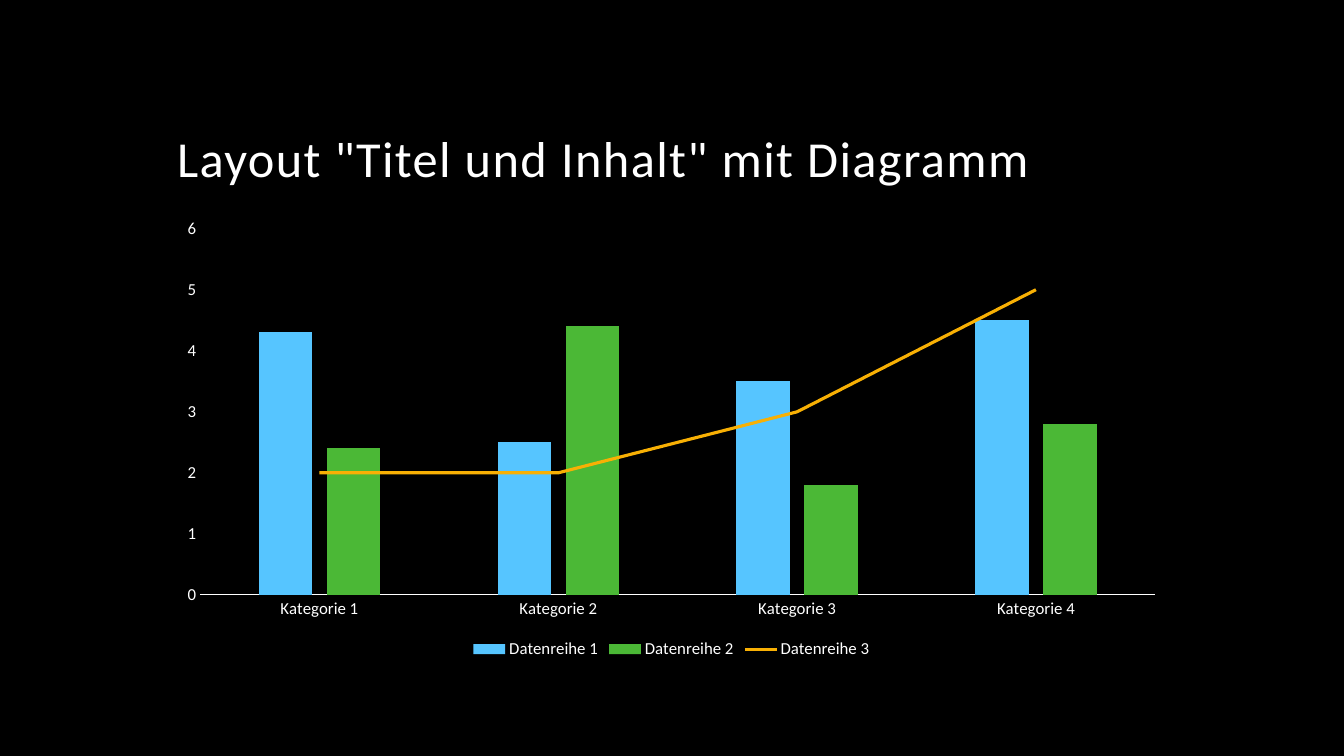
import pptx
import pptx.chart.data
import pptx.dml.color
import pptx.enum.chart
import pptx.enum.text
import pptx.oxml
import pptx.oxml.ns
import pptx.util
from dataclasses import dataclass

Inches, Pt = pptx.util.Inches, pptx.util.Pt
qn = pptx.oxml.ns.qn

# Content
HEADLINE = 'Layout "Titel und Inhalt" mit Diagramm'
CATEGORIES = ["Kategorie 1", "Kategorie 2", "Kategorie 3", "Kategorie 4"]
COLUMNS = {
    "Datenreihe 1": (4.3, 2.5, 3.5, 4.5),
    "Datenreihe 2": (2.4, 4.4, 1.8, 2.8),
}
TREND = {"Datenreihe 3": (2, 2, 3, 5)}


@dataclass(frozen=True)
class Theme:
    font: str = "Calibri"
    background: str = "000000"
    text: str = "FFFFFF"
    series: tuple = ("56C5FF", "4BB836", "F8B004")
    headline_size: int = 36
    label_size: int = 12
    axis_width: float = 0.75
    trend_width: float = 2.25


THEME = Theme()
LEFT, WIDTH = Inches(1.66), Inches(10)


def rgb(value):
    return pptx.dml.color.RGBColor.from_string(value)


def style_font(font, size):
    font.name = THEME.font
    font.size = Pt(size)
    font.color.rgb = rgb(THEME.text)


def add_headline(slide):
    box = slide.shapes.add_textbox(LEFT, Inches(0.42), WIDTH, Inches(1.5))
    frame = box.text_frame
    frame.word_wrap = True
    frame.vertical_anchor = pptx.enum.text.MSO_ANCHOR.BOTTOM
    frame.text = HEADLINE
    paragraph = frame.paragraphs[0]
    paragraph.line_spacing = 0.9
    run = paragraph.runs[0]
    style_font(run.font, THEME.headline_size)
    run.font._element.set("spc", "100")  # letter spacing of 1 pt


def move_to_line_plot(column_plot, trend):
    """Turn the trend series into a line on the axes of the columns."""
    bar_chart, ser = column_plot._element, trend._element
    for bar_only in ser.findall(qn("c:invertIfNegative")):
        ser.remove(bar_only)
    line_chart = pptx.oxml.parse_xml(
        f'<c:lineChart {pptx.oxml.ns.nsdecls("c")}><c:grouping val="standard"/>'
        '<c:varyColors val="0"/><c:marker val="1"/></c:lineChart>'
    )
    line_chart.insert(2, ser)
    for axis in bar_chart.findall(qn("c:axId")):
        axis_id = axis.get("val")
        line_chart.append(pptx.oxml.parse_xml(
            f'<c:axId {pptx.oxml.ns.nsdecls("c")} val="{axis_id}"/>'
        ))
    bar_chart.addnext(line_chart)


def add_combined_chart(slide):
    data = pptx.chart.data.CategoryChartData()
    data.categories = CATEGORIES
    for name, values in (COLUMNS | TREND).items():
        data.add_series(name, values)
    chart = slide.shapes.add_chart(
        pptx.enum.chart.XL_CHART_TYPE.COLUMN_CLUSTERED,
        LEFT, Inches(2.08), WIDTH, Inches(4.5), data,
    ).chart
    chart.has_title = False
    style_font(chart.font, THEME.label_size)

    # Legend
    chart.has_legend = True
    chart.legend.position = pptx.enum.chart.XL_LEGEND_POSITION.BOTTOM
    chart.legend.include_in_layout = False
    style_font(chart.legend.font, THEME.label_size)

    # Axes
    for axis in (chart.category_axis, chart.value_axis):
        axis.has_major_gridlines = False
        axis.major_tick_mark = pptx.enum.chart.XL_TICK_MARK.NONE
        axis.minor_tick_mark = pptx.enum.chart.XL_TICK_MARK.NONE
        style_font(axis.tick_labels.font, THEME.label_size)
    baseline = chart.category_axis.format.line
    baseline.color.rgb = rgb(THEME.text)
    baseline.width = Pt(THEME.axis_width)
    chart.value_axis.format.line.fill.background()
    chart.value_axis.minimum_scale = 0
    chart.value_axis.maximum_scale = 6
    chart.value_axis.major_unit = 1

    # Columns
    column_plot = chart.plots[0]
    column_plot.vary_by_categories = False
    column_plot.gap_width = 219
    column_plot.overlap = -27
    *columns, trend = list(column_plot.series)
    for column, color in zip(columns, THEME.series):
        column.format.fill.solid()
        column.format.fill.fore_color.rgb = rgb(color)

    # Trend line
    move_to_line_plot(column_plot, trend)
    trend = chart.plots[1].series[0]
    trend.smooth = False
    trend.marker.style = pptx.enum.chart.XL_MARKER_STYLE.NONE
    trend.format.line.color.rgb = rgb(THEME.series[-1])
    trend.format.line.width = Pt(THEME.trend_width)


def main():
    deck = pptx.Presentation()
    deck.slide_width, deck.slide_height = Inches(13.33), Inches(7.5)
    slide = deck.slides.add_slide(deck.slide_layouts[6])
    slide.background.fill.solid()
    slide.background.fill.fore_color.rgb = rgb(THEME.background)
    add_headline(slide)
    add_combined_chart(slide)
    deck.save("out.pptx")


if __name__ == "__main__":
    main()
